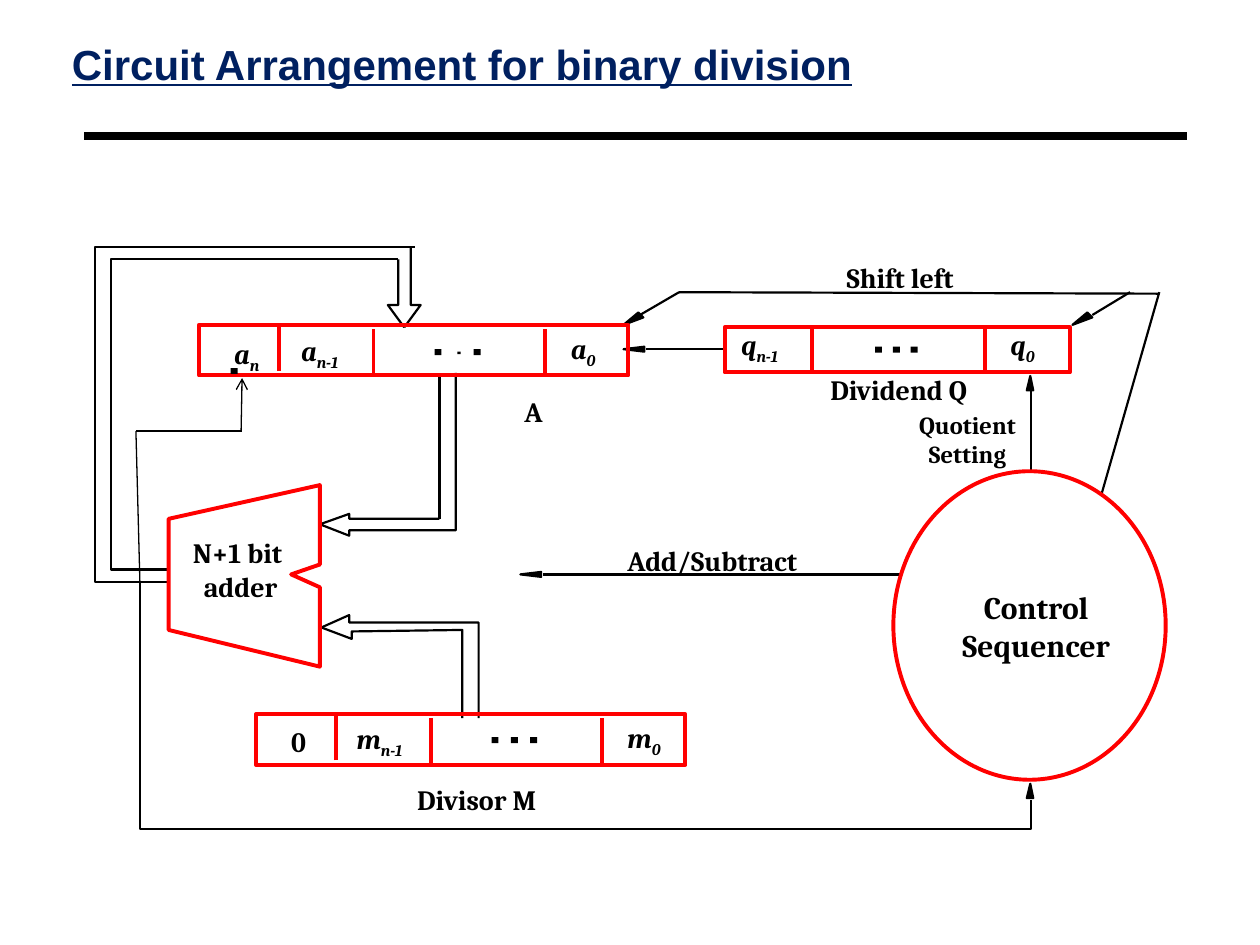
from dataclasses import dataclass

from lxml.etree import SubElement
from pptx import Presentation
from pptx.dml.color import RGBColor
from pptx.enum.shapes import MSO_CONNECTOR, MSO_SHAPE
from pptx.enum.text import MSO_AUTO_SIZE, PP_ALIGN
from pptx.oxml.ns import qn
from pptx.util import Cm, Pt

BLACK = RGBColor(0, 0, 0)
RED = RGBColor(0xFF, 0, 0)
NAVY = RGBColor(0, 0x20, 0x60)
Point = tuple[float, float]
WIRE = 1.25
THIN = 0.75
FRAME = 2.25


@dataclass
class Label:
    x: float
    y: float
    w: float
    lines: tuple[str, ...]
    sub: str = ""
    size: int = 16
    h: float = 0.69
    italic: bool = False


@dataclass
class Register:
    x: float
    y: float
    w: float
    h: float
    dividers: tuple[Point, ...]
    divider_h: float


@dataclass
class Wire:
    start: Point
    end: Point
    width: float = WIRE
    arrow: bool = False


@dataclass
class Dots:
    y: float
    xs: tuple[float, ...]


WIDE_DIVIDERS = ((1.62, 0), (3.52, 0.08), (6.97, 0.08))
REGISTERS = [
    Register(4.01, 6.55, 8.66, 1.02, WIDE_DIVIDERS, 0.93),
    Register(5.16, 14.4, 8.66, 1.02, WIDE_DIVIDERS, 0.93),
    Register(14.61, 6.6, 6.96, 0.91, ((1.75, 0), (5.25, 0)), 0.91),
]
DOTS = [
    Dots(7.04, (8.76, 9.55)),
    Dots(14.86, (9.91, 10.3, 10.69)),
    Dots(6.99, (17.64, 18, 18.36)),
    Dots(7.42, (4.65,)),
]
WIRES = [
    Wire((22.2, 9.98), (23.37, 5.89)),
    Wire((20.78, 9.47), (20.78, 7.87)),
    Wire((13.03, 7.04), (14.61, 7.04)),
    Wire((22.02, 6.35), (22.78, 5.89)),
    Wire((12.9, 6.35), (13.69, 5.89)),
    Wire((13.69, 5.89), (23.37, 5.92)),
    Wire((10.95, 11.58), (18.16, 11.58)),
    Wire((8.86, 7.52), (8.86, 10.46)),
    Wire((2.82, 11.73), (2.74, 8.69), THIN),
    Wire((2.74, 8.69), (4.88, 8.69), THIN),
    Wire((4.86, 8.69), (4.88, 7.62), THIN, True),
]
BUSES = [
    [(8.86, 10.46), (7.04, 10.46), (7.04, 10.36), (6.45, 10.57),
     (7.04, 10.8), (7.04, 10.69), (9.19, 10.69), (9.19, 7.52)],
    [(9.65, 14.48), (9.65, 12.55), (7.04, 12.55), (7.04, 12.4), (6.48, 12.65)],
    [(9.32, 14.48), (9.32, 12.7), (7.09, 12.73), (7.09, 12.88), (6.48, 12.65)],
    [(8.28, 4.98), (8.28, 6.15), (8.48, 6.15), (8.15, 6.6)],
    [(8.03, 5.23), (8.03, 6.15), (7.82, 6.15), (8.15, 6.6)],
    [(8.03, 5.23), (2.24, 5.23), (2.24, 11.48), (3.4, 11.48)],
    [(8.36, 4.98), (1.91, 4.98), (1.91, 11.73), (3.4, 11.73)],
    [(20.78, 16.13), (20.78, 16.71), (2.82, 16.71), (2.82, 11.73)],
]
ADDER = [(6.45, 9.78), (6.45, 11.38), (5.87, 11.58), (6.45, 11.84),
         (6.45, 13.44), (3.4, 12.7), (3.4, 10.46)]
UP = ((-0.07, 0.29), (0.06, 0.29))
LEFT = ((0.42, -0.05), (0.42, 0.05))
DOWN_LEFT = ((0.3, -0.25), (0.4, -0.15))
ARROWHEADS = [
    ((20.77, 7.58), UP), ((20.77, 15.8), UP),
    ((12.57, 7.04), LEFT), ((10.49, 11.58), LEFT),
    ((12.57, 6.55), DOWN_LEFT), ((21.62, 6.55), DOWN_LEFT),
]
LABELS = [
    Label(4.72, 6.78, 0.56, ("a",), "n", italic=True),
    Label(6.07, 6.73, 0.89, ("a",), "n-1", italic=True),
    Label(11.51, 6.68, 0.53, ("a",), "0", italic=True),
    Label(14.94, 6.6, 0.91, ("q",), "n-1", italic=True),
    Label(20.37, 6.6, 0.56, ("q",), "0", italic=True),
    Label(5.87, 14.61, 0.3, ("0",)),
    Label(7.19, 14.55, 1.07, ("m",), "n-1", italic=True),
    Label(12.65, 14.53, 0.71, ("m",), "0", italic=True),
    Label(10.57, 7.95, 0.41, ("A",)),
    Label(8.41, 15.77, 2.57, ("Divisor M",)),
    Label(16.74, 7.52, 3.02, ("Dividend Q",)),
    Label(17.07, 5.26, 2.29, ("Shift left",)),
    Label(12.65, 10.95, 3.58, ("Add/Subtract",)),
    Label(3.81, 10.8, 2.08, ("N+1 bit ", "adder"), h=1.37),
    Label(18.49, 8.26, 2.03, ("Quotient", "Setting"), size=14, h=1.19),
    Label(19.25, 11.86, 3.28, ("Control", "Sequencer"), size=18, h=1.55),
]


def style(sp, line: RGBColor | None, width: float = WIRE, fill: RGBColor | None = None) -> None:
    sp.shadow.inherit = False
    if fill is None:
        sp.fill.background()
    else:
        sp.fill.solid()
        sp.fill.fore_color.rgb = fill
    if line is None:
        sp.line.fill.background()
    else:
        sp.line.color.rgb = line
        sp.line.width = Pt(width)


def add_preset(s, kind: MSO_SHAPE, x: float, y: float, w: float, h: float):
    return s.shapes.add_shape(kind, Cm(x), Cm(y), Cm(w), Cm(h))


def add_path(s, points: list[Point], close: bool = False):
    pts = [(Cm(x), Cm(y)) for x, y in points]
    fb = s.shapes.build_freeform(*pts[0], scale=1.0)
    fb.add_line_segments(pts[1:], close=close)
    return fb.convert_to_shape()


def add_wire(s, wire: Wire, color: RGBColor = BLACK) -> None:
    ends = [Cm(v) for v in (*wire.start, *wire.end)]
    c = s.shapes.add_connector(MSO_CONNECTOR.STRAIGHT, *ends)
    c.line.color.rgb = color
    c.line.width = Pt(wire.width)
    if wire.arrow:
        SubElement(c.line._get_or_add_ln(), qn("a:tailEnd"), type="arrow")
    SubElement(c._element.spPr, qn("a:effectLst"))


def add_register(s, reg: Register) -> None:
    style(add_preset(s, MSO_SHAPE.RECTANGLE, reg.x, reg.y, reg.w, reg.h), RED, FRAME)
    for dx, dy in reg.dividers:
        x, y = reg.x + dx, reg.y + dy
        add_wire(s, Wire((x, y + reg.divider_h), (x, y), FRAME), RED)


def add_text_frame(s, x: float, y: float, w: float, h: float, inset: Point = (0, 0)):
    tf = s.shapes.add_textbox(Cm(x), Cm(y), Cm(w), Cm(h)).text_frame
    tf.margin_left = tf.margin_right = Cm(inset[0])
    tf.margin_top = tf.margin_bottom = Cm(inset[1])
    tf.word_wrap = False
    tf.auto_size = MSO_AUTO_SIZE.SHAPE_TO_FIT_TEXT
    return tf


def add_run(p, text: str, size: int, name: str = "Cambria", color: RGBColor = BLACK):
    r = p.add_run()
    r.text = text
    r.font.size = Pt(size)
    r.font.name = name
    r.font.bold = True
    r.font.color.rgb = color
    return r


def add_label(s, label: Label) -> None:
    tf = add_text_frame(s, label.x, label.y, label.w, label.h)
    for i, line in enumerate(label.lines):
        p = tf.add_paragraph() if i else tf.paragraphs[0]
        p.alignment = PP_ALIGN.CENTER if len(label.lines) > 1 else PP_ALIGN.LEFT
        add_run(p, line, label.size).font.italic = label.italic
    if label.sub:
        r = add_run(p, label.sub, label.size)
        r.font.italic = label.italic
        r.font._element.set("baseline", "-25000")


def main() -> None:
    prs = Presentation()
    prs.slide_width, prs.slide_height = Cm(25.4), Cm(19.05)
    s = prs.slides.add_slide(prs.slide_layouts[6])
    add_wire(s, Wire((1.7, 2.74), (23.93, 2.74), 4.5))
    p = add_text_frame(s, 1.27, 0.84, 16.26, 1.04, (0.18, 0.08)).paragraphs[0]
    p.line_spacing = 0.87
    add_run(p, "Circuit Arrangement for binary division", 24, "Arial", NAVY).font.underline = True
    for wire in WIRES:
        add_wire(s, wire)
    for bus in BUSES:
        style(add_path(s, bus), BLACK)
    for (x, y), barbs in ARROWHEADS:
        head = [(x, y)] + [(x + dx, y + dy) for dx, dy in barbs]
        style(add_path(s, head, close=True), BLACK, WIRE, BLACK)
    style(add_path(s, ADDER, close=True), RED, FRAME)
    style(add_preset(s, MSO_SHAPE.OVAL, 18.01, 9.5, 5.49, 6.22), RED, FRAME)
    for reg in REGISTERS:
        add_register(s, reg)
    for dots in DOTS:
        for x in dots.xs:
            style(add_preset(s, MSO_SHAPE.RECTANGLE, x, dots.y, 0.14, 0.12), None, fill=BLACK)
    style(add_preset(s, MSO_SHAPE.RECTANGLE, 9.22, 7.09, 0.07, 0.05), None, fill=BLACK)
    for label in LABELS:
        add_label(s, label)
    prs.save("out.pptx")


if __name__ == "__main__":
    main()
